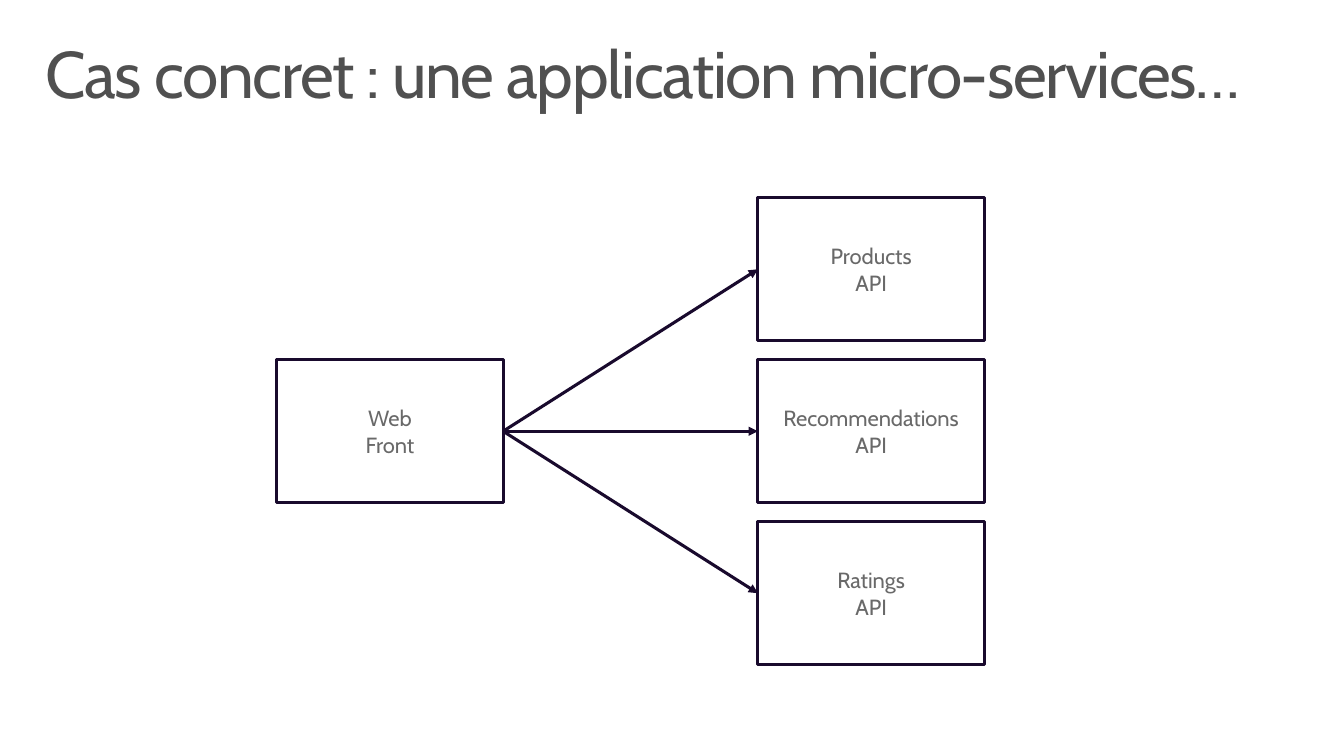
from dataclasses import dataclass

from lxml import etree
from pptx import Presentation
from pptx.dml.color import RGBColor
from pptx.enum.shapes import MSO_CONNECTOR, MSO_SHAPE
from pptx.enum.text import MSO_ANCHOR, PP_ALIGN
from pptx.oxml.ns import qn
from pptx.util import Pt

RECTANGLE = MSO_SHAPE.RECTANGLE
STRAIGHT = MSO_CONNECTOR.STRAIGHT
MIDDLE = MSO_ANCHOR.MIDDLE
CENTER = PP_ALIGN.CENTER
LEFT_SIDE, RIGHT_SIDE = 1, 3
BLANK_LAYOUT = 6


@dataclass(frozen=True)
class Theme:
    font: str = "Cabin"
    title_color: RGBColor = RGBColor(0x50, 0x50, 0x50)
    label_color: RGBColor = RGBColor(0x69, 0x69, 0x69)
    line_color: RGBColor = RGBColor(0x19, 0x0A, 0x2D)
    title_size: float = 48
    label_size: float = 16
    line_width: float = 2.25


class SlideBuilder:
    def __init__(self, slide, theme):
        self.slide = slide
        self.theme = theme

    def style_font(self, paragraph, size, color):
        paragraph.font.name = self.theme.font
        paragraph.font.size = Pt(size)
        paragraph.font.color.rgb = color

    def style_line(self, line):
        line.color.rgb = self.theme.line_color
        line.width = Pt(self.theme.line_width)

    def title(self, text, left, top, width, height):
        shape = self.slide.shapes.add_textbox(Pt(left), Pt(top), Pt(width), Pt(height))
        frame = shape.text_frame
        frame.word_wrap = True
        frame.margin_left = frame.margin_right = Pt(11.5)
        frame.margin_top = frame.margin_bottom = Pt(7.2)
        paragraph = frame.paragraphs[0]
        paragraph.line_spacing = 0.9
        run = paragraph.add_run()
        run.text = text
        # Letter spacing, in hundredths of a point
        run.font._element.set("spc", "-100")
        self.style_font(paragraph, self.theme.title_size, self.theme.title_color)

    def box(self, lines, left, top, width, height):
        shape = self.slide.shapes.add_shape(
            RECTANGLE, Pt(left), Pt(top), Pt(width), Pt(height))
        shape.shadow.inherit = False
        shape.fill.background()
        self.style_line(shape.line)
        frame = shape.text_frame
        frame.word_wrap = True
        frame.vertical_anchor = MIDDLE
        frame.text = "\n".join(lines)
        for paragraph in frame.paragraphs:
            paragraph.alignment = CENTER
            self.style_font(paragraph, self.theme.label_size, self.theme.label_color)
        return shape

    def arrow(self, source, target):
        connector = self.slide.shapes.add_connector(STRAIGHT, 0, 0, 0, 0)
        connector.begin_connect(source, RIGHT_SIDE)
        connector.end_connect(target, LEFT_SIDE)
        self.style_line(connector.line)
        properties = connector._element.spPr
        etree.SubElement(properties.find(qn("a:ln")), qn("a:tailEnd"), type="triangle")
        etree.SubElement(properties, qn("a:effectLst"))


def main():
    presentation = Presentation()
    presentation.slide_width = Pt(979.2)
    presentation.slide_height = Pt(550.8)
    slide = presentation.slides.add_slide(presentation.slide_layouts[BLANK_LAYOUT])
    builder = SlideBuilder(slide, Theme())

    builder.title("Cas concret : une application micro-services…", 21.6, 23, 936, 72)

    # Front end on the left, level with the middle service
    box_width, box_height = 165, 104.4
    services_top, services_pitch = 144, 118
    front = builder.box(["Web", "Front"], 201.6, services_top + services_pitch,
                        box_width, box_height)

    # Services stacked on the right
    services = [["Products", "API"], ["Recommendations API"], ["Ratings", "API"]]
    service_boxes = [
        builder.box(lines, 552.2, services_top + index * services_pitch,
                    box_width, box_height)
        for index, lines in enumerate(services)
    ]

    # Calls from the front end to each service
    for service_box in service_boxes:
        builder.arrow(front, service_box)

    presentation.save("out.pptx")


if __name__ == "__main__":
    main()
